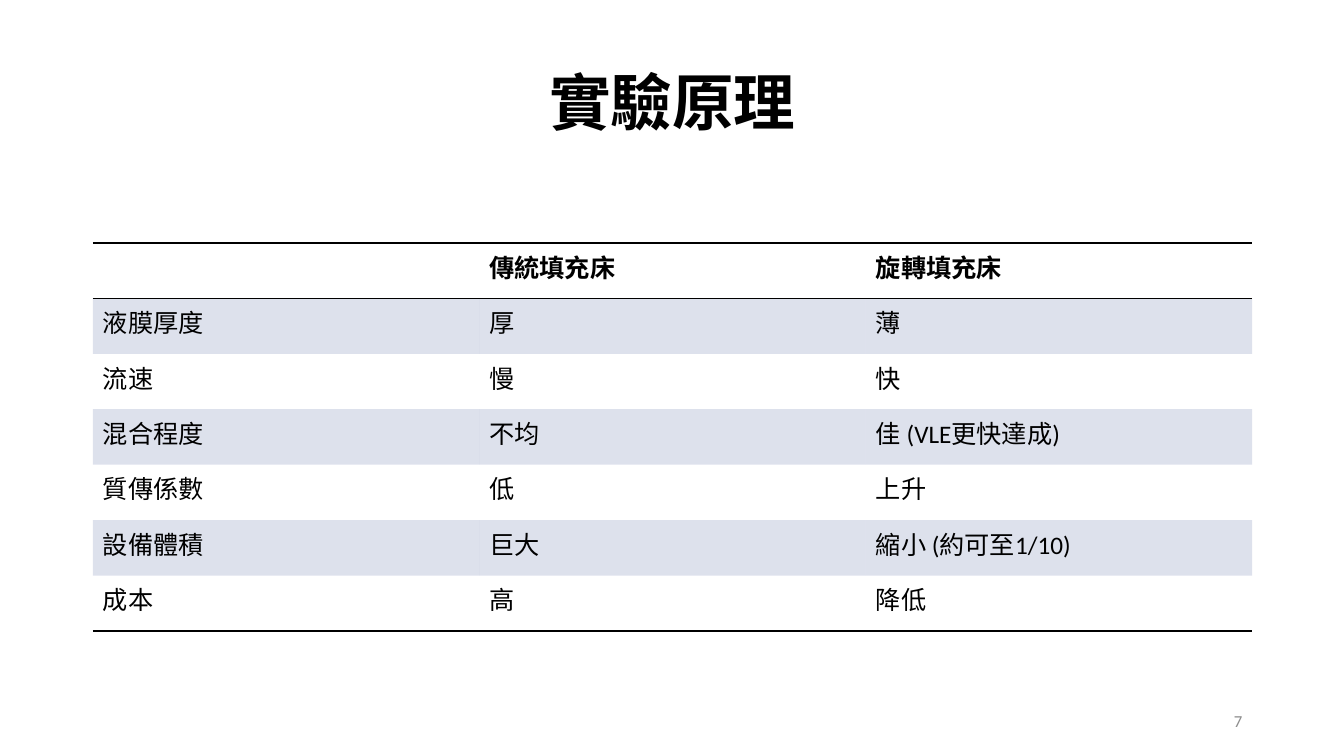
"""Build the slide comparing conventional and rotating packed beds."""
from lxml import etree
from pptx import Presentation
from pptx.dml.color import RGBColor
from pptx.enum.text import MSO_ANCHOR, PP_ALIGN
from pptx.oxml.ns import qn
from pptx.util import Inches, Pt

MIDDLE = MSO_ANCHOR.MIDDLE
LEFT, CENTER, RIGHT = PP_ALIGN.LEFT, PP_ALIGN.CENTER, PP_ALIGN.RIGHT

TITLE = "實驗原理"
PAGE_NUMBER = "7"
ROWS = [
    ("", "傳統填充床", "旋轉填充床"),
    ("液膜厚度", "厚", "薄"),
    ("流速", "慢", "快"),
    ("混合程度", "不均", "佳 (VLE更快達成)"),
    ("質傳係數", "低", "上升"),
    ("設備體積", "巨大", "縮小 (約可至1/10)"),
    ("成本", "高", "降低"),
]
COLORS = {"text": "000000", "rule": "000000", "band": "586BA4", "page": "8C8C8C"}
LATIN_FONT, ASIAN_FONT = "Calibri", "Noto Sans CJK SC"
PLAIN_TABLE_STYLE = "{2D5ABB26-0587-4C30-8999-92F81FD0307C}"
BAND_OPACITY = 20
MARGIN, CONTENT_WIDTH = 0.92, 11.5
TABLE_TOP, ROW_HEIGHT = 2.41, 0.55


def style_text(text_frame, size, color, font=LATIN_FONT, bold=False, align=LEFT):
    for paragraph in text_frame.paragraphs:
        paragraph.alignment = align
        for run in paragraph.runs:
            run.font.size = Pt(size)
            run.font.bold = bold
            run.font.color.rgb = RGBColor.from_string(COLORS[color])
            run.font.name = font
            properties = run._r.get_or_add_rPr()
            etree.SubElement(properties, qn("a:ea"), typeface=ASIAN_FONT)


def add_text(slide, text, box, **style):
    shape = slide.shapes.add_textbox(*(Inches(length) for length in box))
    text_frame = shape.text_frame
    text_frame.word_wrap = True
    text_frame.vertical_anchor = MIDDLE
    text_frame.text = text
    style_text(text_frame, **style)
    return text_frame


def add_rule(cell, side, position):
    line = etree.Element(qn(f"a:{side}"), w=str(Pt(1)))
    fill = etree.SubElement(line, qn("a:solidFill"))
    etree.SubElement(fill, qn("a:srgbClr"), val=COLORS["rule"])
    cell._tc.get_or_add_tcPr().insert(position, line)


def fill_band(cell):
    cell.fill.solid()
    cell.fill.fore_color.rgb = RGBColor.from_string(COLORS["band"])
    color = cell._tc.tcPr.find(".//" + qn("a:srgbClr"))
    etree.SubElement(color, qn("a:alpha"), val=str(BAND_OPACITY * 1000))


def add_comparison(slide):
    row_count, column_count = len(ROWS), len(ROWS[0])
    table = slide.shapes.add_table(
        row_count, column_count, Inches(MARGIN), Inches(TABLE_TOP),
        Inches(CONTENT_WIDTH), Inches(ROW_HEIGHT * row_count)).table
    table._tbl.tblPr.find(qn("a:tableStyleId")).text = PLAIN_TABLE_STYLE
    for row_index, row in enumerate(ROWS):
        table.rows[row_index].height = Inches(ROW_HEIGHT)
        for column_index, text in enumerate(row):
            cell = table.cell(row_index, column_index)
            cell.text = text
            style_text(cell.text_frame, 18, "text", bold=row_index == 0)
            if row_index % 2:
                fill_band(cell)
            else:
                cell.fill.background()
            if row_index in (0, row_count - 1):
                add_rule(cell, "lnB", 0)
            if row_index == 0:
                add_rule(cell, "lnT", 0)


def main():
    presentation = Presentation()
    presentation.slide_width = Inches(13.33)
    presentation.slide_height = Inches(7.5)
    slide = presentation.slides.add_slide(presentation.slide_layouts[6])
    title = add_text(slide, TITLE, (MARGIN, 0.38, CONTENT_WIDTH, 1.33),
                     size=44, color="text", font=ASIAN_FONT, bold=True, align=CENTER)
    title.paragraphs[0].line_spacing = 0.9
    add_comparison(slide)
    add_text(slide, PAGE_NUMBER, (9.42, 6.95, 3, 0.4),
             size=12, color="page", align=RIGHT)
    presentation.save("out.pptx")


if __name__ == "__main__":
    main()
